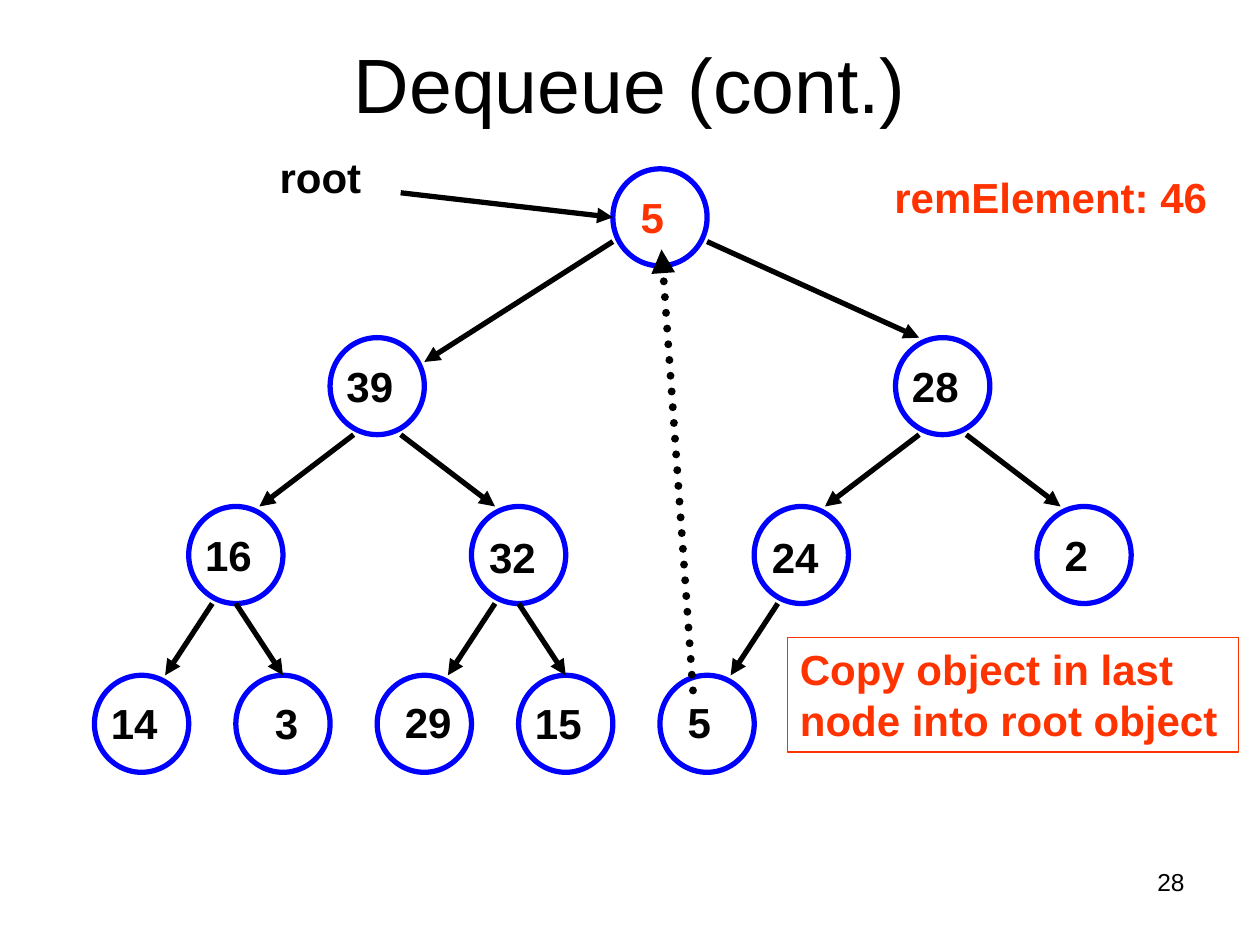
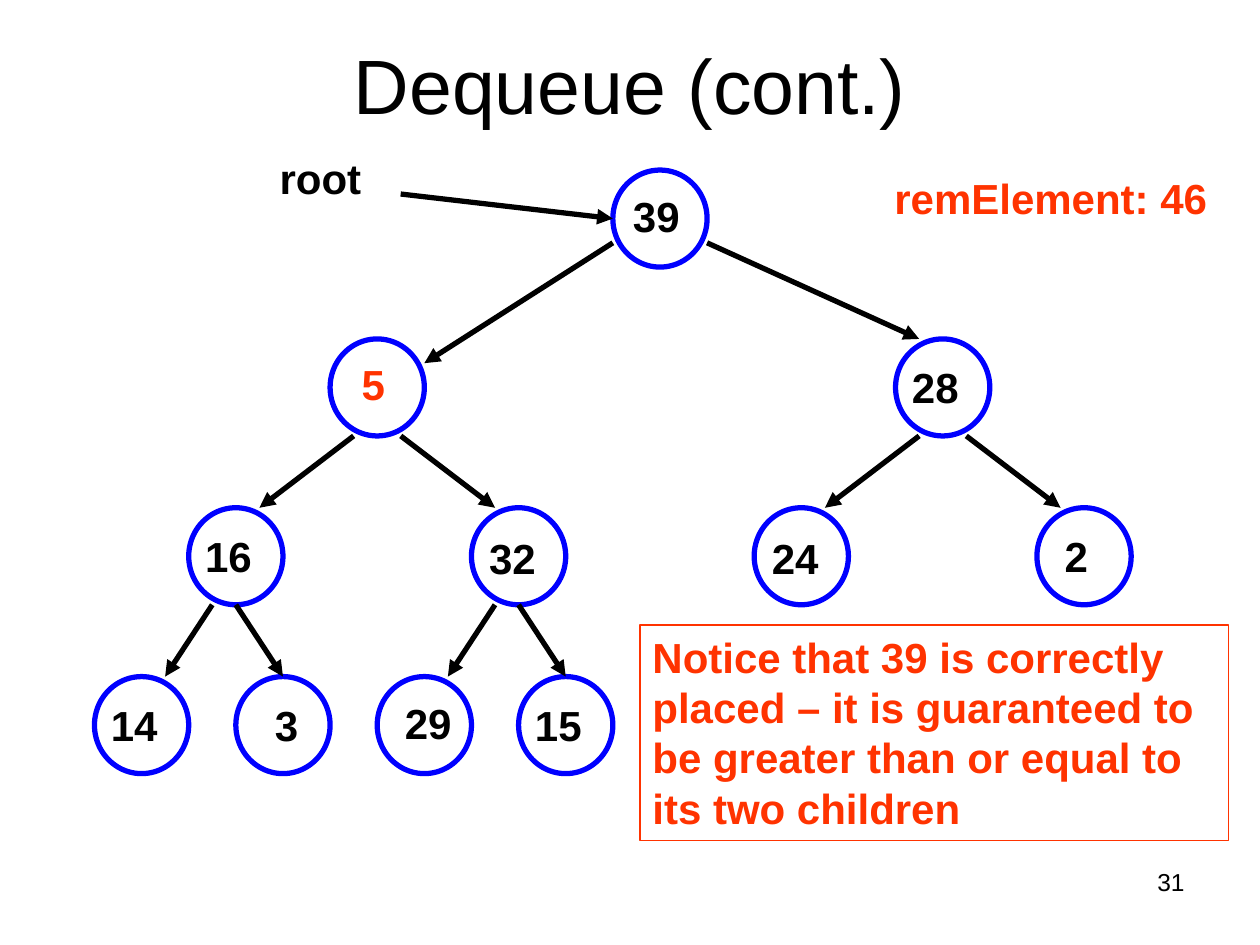
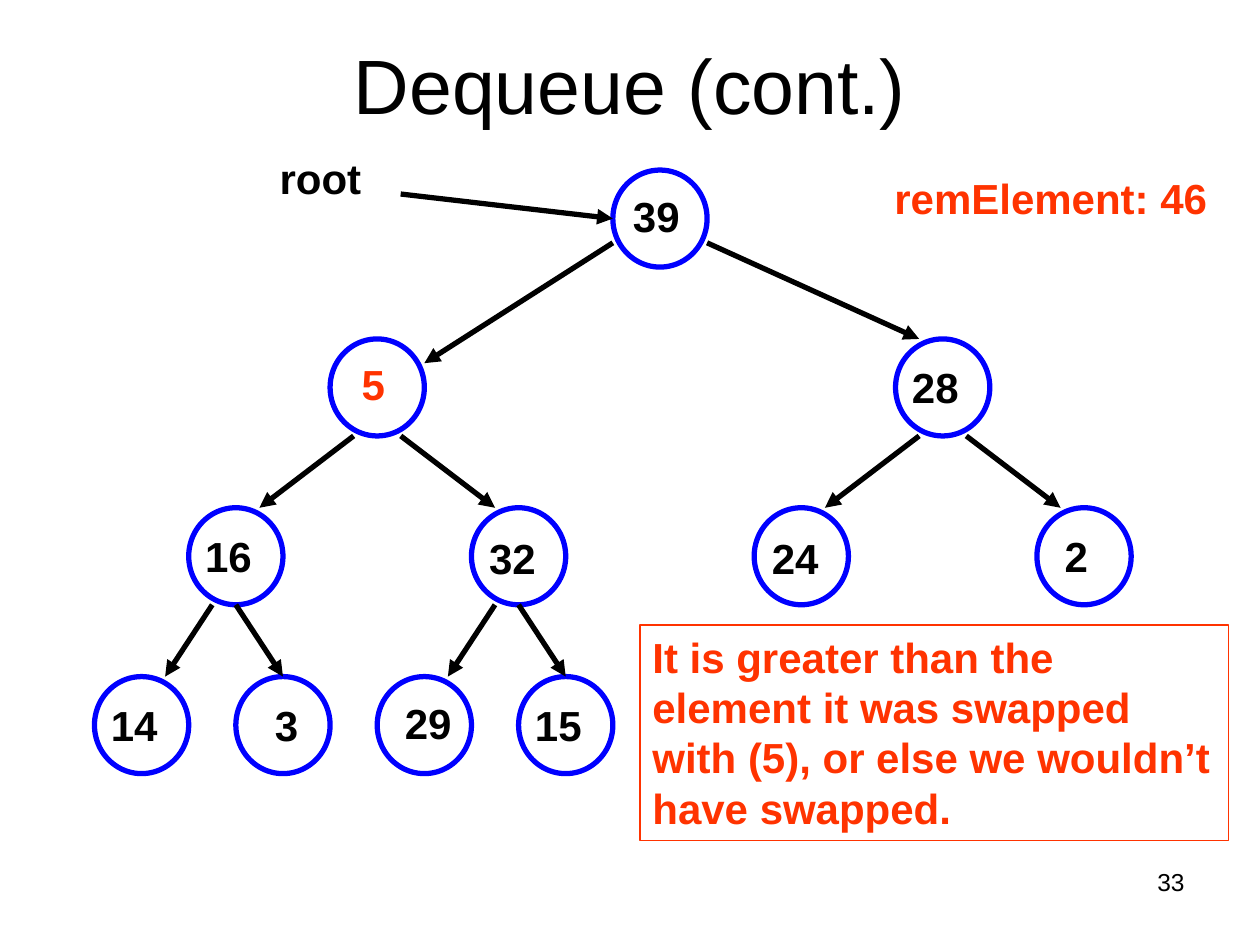
from dataclasses import dataclass, replace
from typing import NamedTuple

from pptx import Presentation
from pptx.dml.color import RGBColor
from pptx.enum.dml import MSO_LINE
from pptx.enum.shapes import MSO_CONNECTOR, MSO_SHAPE
from pptx.enum.text import MSO_ANCHOR, PP_ALIGN
from pptx.oxml.ns import qn
from pptx.shapes.autoshape import Shape
from pptx.slide import Slide
from pptx.util import Inches, Pt

DOTS = MSO_LINE.ROUND_DOT
STRAIGHT = MSO_CONNECTOR.STRAIGHT
OVAL, RECT = MSO_SHAPE.OVAL, MSO_SHAPE.RECTANGLE
MIDDLE, TOP = MSO_ANCHOR.MIDDLE, MSO_ANCHOR.TOP
LEFT, CENTER, RIGHT = PP_ALIGN.LEFT, PP_ALIGN.CENTER, PP_ALIGN.RIGHT


@dataclass(frozen=True)
class Theme:
    font: str = "Arial"
    ink: RGBColor = RGBColor(0, 0, 0)
    paper: RGBColor = RGBColor(255, 255, 255)
    ring: RGBColor = RGBColor(0, 0, 255)
    alert: RGBColor = RGBColor(255, 51, 0)
    title: float = 44
    body: float = 24
    small: float = 14
    thin: float = 0.75
    stroke: float = 3
    heavy: float = 4.5


THEME = Theme()

# Tree grid in inches: nodes sit on whole steps across and whole rows down.
EDGE = 0.75
STEP = 7.48 / 20
ROW = 1.34
WIDE, HIGH = 2 * STEP, 0.77
PAD = 0.1
GAP = 0.09


class Point(NamedTuple):
    x: float
    y: float


class Box(NamedTuple):
    x: float
    y: float
    w: float
    h: float


@dataclass(frozen=True)
class Node:
    """A tree node; indent counts gaps before the number, shift moves its label."""
    col: int
    row: int
    text: str
    indent: int = 1
    shift: Point = Point(-0.06, 0.13)
    hue: RGBColor = THEME.ink

    def spot(self, part: Point, top: float) -> Point:
        """Place a fraction of the node's bounds on the slide."""
        return Point(EDGE + self.col * STEP + part.x * WIDE,
                     top + self.row * ROW + part.y * HIGH)


class Joint(NamedTuple):
    """Fractions of the parent's and child's bounds where an arrow runs."""
    tail: Point
    tip: Point


class Edge(NamedTuple):
    parent: str
    child: str
    joint: Joint


@dataclass(frozen=True)
class Page:
    number: str
    top: float
    nodes: dict[str, Node]
    note: str
    frame: Box
    copying: bool = False


TO_LEFT = Joint(Point(0.25, 1), Point(0.75, 0))
TO_RIGHT = Joint(Point(0.75, 1), Point(0.25, 0))
TO_LEAF = Joint(Point(0.5, 1), Point(0.5, 0))
ROOT_LEFT = Joint(Point(0, 0.75), Point(1, 0.25))
ROOT_RIGHT = Joint(Point(1, 0.75), Point(0.25, 0))

EDGES = (
    Edge("root", "l", ROOT_LEFT), Edge("root", "r", ROOT_RIGHT),
    Edge("l", "ll", TO_LEFT), Edge("l", "lr", TO_RIGHT),
    Edge("r", "rl", TO_LEFT), Edge("r", "rr", TO_RIGHT),
    Edge("ll", "lll", TO_LEFT), Edge("ll", "llr", TO_LEAF),
    Edge("lr", "lrl", TO_LEFT), Edge("lr", "lrr", TO_LEAF),
    Edge("rl", "rll", TO_LEFT),
)

LOW = Point(-0.05, 0.15)
HIGHER = Point(-0.06, 0.12)
SWAPPED = Point(-0.03, 0.11)

FIRST = {
    "root": Node(11, 0, "5", 2, hue=THEME.alert),
    "l": Node(5, 1, "39"),
    "r": Node(17, 1, "28"),
    "ll": Node(2, 2, "16"),
    "lr": Node(8, 2, "32", shift=LOW),
    "rl": Node(14, 2, "24", shift=LOW),
    "rr": Node(20, 2, "2", 2),
    "lll": Node(0, 3, "14"),
    "llr": Node(3, 3, "3", 3),
    "lrl": Node(6, 3, "29", 2, HIGHER),
    "lrr": Node(9, 3, "15"),
    "rll": Node(12, 3, "5", 2, HIGHER),
}
AFTER = {key: node for key, node in FIRST.items() if key != "rll"}
AFTER["root"] = replace(FIRST["root"], text="39", indent=1, shift=SWAPPED, hue=THEME.ink)
AFTER["l"] = replace(FIRST["l"], text="5", indent=2, shift=SWAPPED, hue=THEME.alert)

WIDE_NOTE = Box(5.08, 4.96, 4.67, 1.71)
PAGES = (
    Page("28", 1.34, FIRST, "Copy object in last node into root object",
         Box(6.25, 5.06, 3.58, 0.91), copying=True),
    Page("31", 1.35, AFTER,
         "Notice that 39 is correctly placed – it is guaranteed to be greater "
         "than or equal to its two children", WIDE_NOTE),
    Page("33", 1.35, AFTER,
         "It is greater than the element it was swapped with (5), or else "
         "we wouldn’t have swapped.", WIDE_NOTE),
)


def write(shape: Shape, text: str, size: float = THEME.body, hue: RGBColor = THEME.ink,
          bold: bool = True, align: PP_ALIGN = LEFT, anchor: MSO_ANCHOR = TOP,
          inset: float = PAD) -> None:
    frame = shape.text_frame
    look = {"word_wrap": True, "vertical_anchor": anchor, "margin_left": Inches(inset)}
    for name, value in look.items():
        setattr(frame, name, value)
    par = frame.paragraphs[0]
    par.alignment = align
    run = par.add_run()
    run.text = text
    for name, value in {"name": THEME.font, "size": Pt(size), "bold": bold}.items():
        setattr(run.font, name, value)
    run.font.color.rgb = hue


def add_text(slide: Slide, box: Box, text: str, **look) -> None:
    write(slide.shapes.add_textbox(*map(Inches, box)), text, **look)


def add_form(slide: Slide, kind: MSO_SHAPE, box: Box, hue: RGBColor, width: float) -> Shape:
    form = slide.shapes.add_shape(kind, *map(Inches, box))
    form.shadow.inherit = False
    form.line.color.rgb = hue
    form.line.width = Pt(width)
    return form


def add_arrow(slide: Slide, tail: Point, tip: Point, width: float = THEME.stroke,
              dotted: bool = False) -> None:
    arrow = slide.shapes.add_connector(STRAIGHT, *map(Inches, (*tail, *tip)))
    arrow.line.color.rgb = THEME.ink
    arrow.line.width = Pt(width)
    line = arrow.line._get_or_add_ln()
    if dotted:
        arrow.line.dash_style = DOTS
        line.set("cap", "rnd")
    head = line.makeelement(qn("a:tailEnd"), {"type": "triangle"})
    line.append(head)
    props = line.getparent()
    props.append(props.makeelement(qn("a:effectLst"), {}))


def add_node(slide: Slide, node: Node, top: float) -> None:
    x, y = node.spot(Point(0, 0), top)
    ring = add_form(slide, OVAL, Box(x, y, WIDE, HIGH), THEME.ring, THEME.stroke)
    ring.fill.solid()
    ring.fill.fore_color.rgb = THEME.paper
    add_text(slide, Box(x + node.shift.x, y + node.shift.y, 0.94, 0.76), node.text,
             hue=node.hue, inset=PAD + node.indent * GAP)


def add_tree(slide: Slide, page: Page) -> None:
    nodes = page.nodes
    for node in nodes.values():
        add_node(slide, node, page.top)
    for parent, child, joint in EDGES:
        if child in nodes:
            add_arrow(slide, nodes[parent].spot(joint.tail, page.top),
                      nodes[child].spot(joint.tip, page.top))
    add_arrow(slide, Point(3.18, page.top + 0.19),
              nodes["root"].spot(Point(0, 0.5), page.top))


def add_page(slide: Slide, page: Page) -> None:
    top = page.top
    add_text(slide, Box(7.17, 6.83, 2.33, 0.52), page.number, size=THEME.small,
             bold=False, align=RIGHT)
    add_tree(slide, page)
    add_text(slide, Box(2.12, top - 0.19, 1.25, 0.57), "root")
    add_text(slide, Box(7, top - 0.03, 2.83, 0.5), "remElement: 46", hue=THEME.alert)
    add_text(slide, Box(0.5, top - 1.31, 9, 1.25), "Dequeue (cont.)", size=THEME.title,
             bold=False, align=CENTER, anchor=MIDDLE)
    if page.copying:
        add_arrow(slide, Point(5.5, 5.48), Point(5.25, 1.98), THEME.heavy, dotted=True)
    note = add_form(slide, RECT, page.frame, THEME.alert, THEME.thin)
    note.fill.background()
    write(note, page.note, hue=THEME.alert)


def main() -> None:
    deck = Presentation()
    deck.slide_width, deck.slide_height = Inches(10), Inches(7.5)
    blank = deck.slide_layouts[6]
    for page in PAGES:
        add_page(deck.slides.add_slide(blank), page)
    deck.save("out.pptx")


if __name__ == "__main__":
    main()
